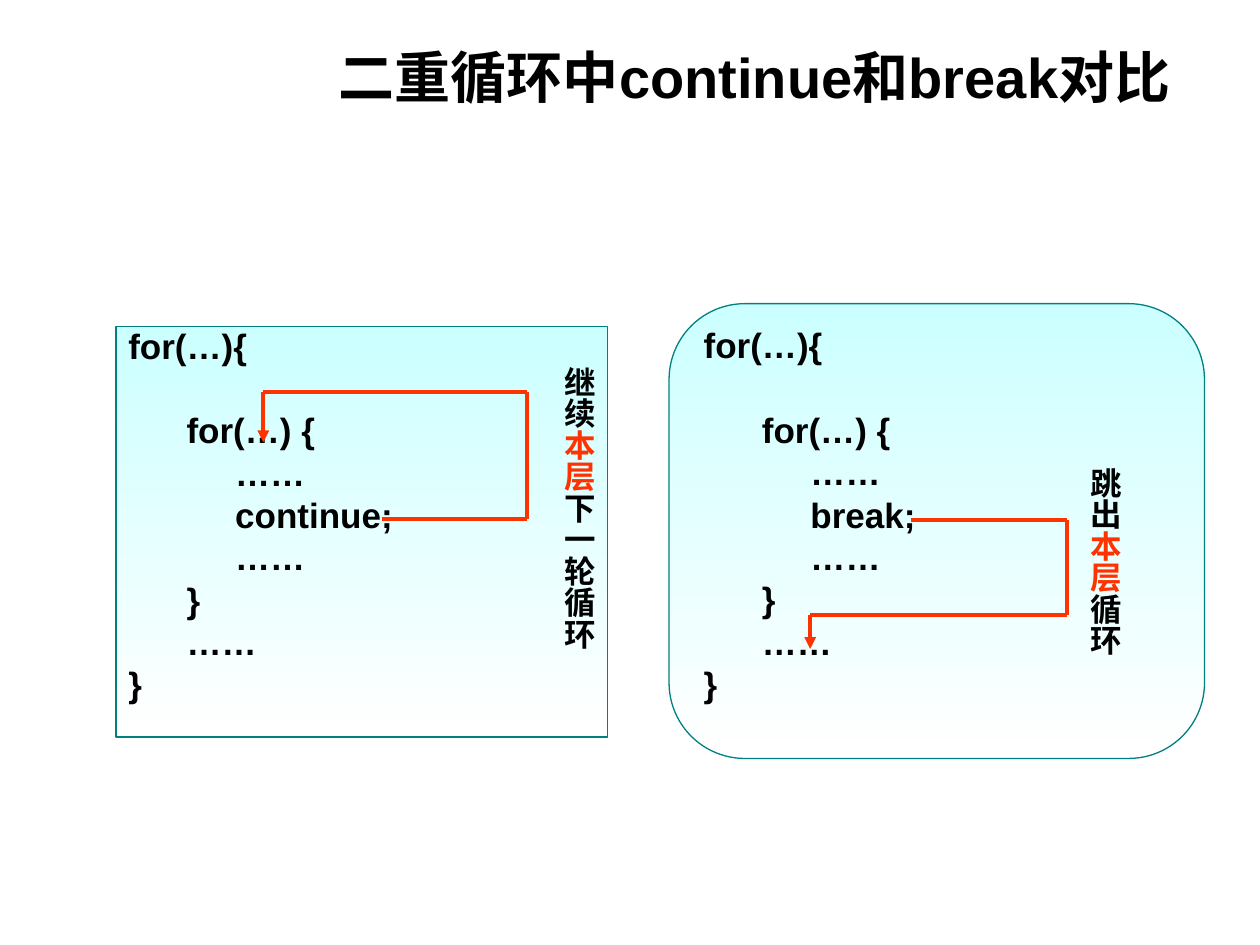
from dataclasses import dataclass
from itertools import pairwise

from lxml import etree
from pptx import Presentation
from pptx.dml.color import RGBColor
from pptx.enum import shapes, text
from pptx.oxml.ns import qn
from pptx.util import Inches, Pt


@dataclass(frozen=True)
class Theme:
    font: str = "Arial"
    ink: RGBColor = RGBColor(0, 0, 0)
    accent: RGBColor = RGBColor(0xFF, 0x33, 0x00)
    border: RGBColor = RGBColor(0x00, 0x80, 0x80)
    panel_top: RGBColor = RGBColor(0xCC, 0xFF, 0xFF)
    panel_bottom: RGBColor = RGBColor(0xFF, 0xFF, 0xFF)
    title_size: int = 32
    code_size: int = 20
    note_size: int = 18


THEME = Theme()


def apply(target, **values):
    for name, value in values.items():
        setattr(target, name, value)


def add_run(paragraph, words, size, color=THEME.ink):
    run = paragraph.add_run()
    run.text = words
    apply(run.font, name=THEME.font, size=Pt(size), bold=True)
    run.font.color.rgb = color


def set_title(slide, words):
    title = slide.shapes.title
    apply(title, left=Inches(0.5), top=Inches(0.3),
          width=Inches(9), height=Inches(0.61))
    apply(title.text_frame, margin_right=Inches(0.21), word_wrap=True,
          auto_size=text.MSO_AUTO_SIZE.NONE,
          vertical_anchor=text.MSO_ANCHOR.MIDDLE)
    paragraph = title.text_frame.paragraphs[0]
    paragraph.alignment = text.PP_ALIGN.RIGHT
    add_run(paragraph, words, THEME.title_size)


def add_code_panel(slide, kind, box, keyword):
    panel = slide.shapes.add_shape(kind, *map(Inches, box))
    panel.shadow.inherit = False
    panel.fill.gradient()
    panel.fill.gradient_angle = 270
    colors = (THEME.panel_top, THEME.panel_bottom)
    for stop, color in zip(panel.fill.gradient_stops, colors):
        stop.color.rgb = color
    panel.line.color.rgb = THEME.border
    panel.line.width = Pt(0.75)

    # Code lines; the inner loop stands one line apart from the outer one
    frame = panel.text_frame
    apply(frame, word_wrap=True, vertical_anchor=text.MSO_ANCHOR.TOP)
    lines = ["for(…){", "      for(…) {", "           ……",
             f"           {keyword};", "           ……",
             "      }", "      ……", "}"]
    for index, line in enumerate(lines):
        paragraph = frame.paragraphs[0] if index == 0 else frame.add_paragraph()
        space = {0: 0, 1: 29}.get(index, 5)
        apply(paragraph, alignment=text.PP_ALIGN.LEFT, line_spacing=0.8,
              space_before=Pt(space))
        add_run(paragraph, line, THEME.code_size)


def add_jump(slide, points):
    """Draw straight segments through the points, with an arrow at the end."""
    for start, end in pairwise(points):
        line = slide.shapes.add_connector(
            shapes.MSO_CONNECTOR.STRAIGHT, *map(Inches, start + end))
        line.line.color.rgb = THEME.accent
        line.line.width = Pt(2.25)
        properties = line._element.spPr
        if end == points[-1]:
            outline = properties.find(qn("a:ln"))
            etree.SubElement(outline, qn("a:tailEnd"), type="triangle")
        etree.SubElement(properties, qn("a:effectLst"))


def add_vertical_note(slide, box, before, stressed, after):
    note = slide.shapes.add_textbox(*map(Inches, box))
    frame = note.text_frame
    apply(frame, word_wrap=True, margin_left=Inches(0.05),
          margin_right=Inches(0.05), margin_top=Inches(0.1),
          margin_bottom=Inches(0.1))
    frame._txBody.bodyPr.set("vert", "eaVert")
    paragraph = frame.paragraphs[0]
    add_run(paragraph, before, THEME.note_size)
    add_run(paragraph, stressed, THEME.note_size, THEME.accent)
    add_run(paragraph, after, THEME.note_size)


def main():
    presentation = Presentation()
    apply(presentation, slide_width=Inches(10), slide_height=Inches(7.5))
    slide = presentation.slides.add_slide(presentation.slide_layouts[5])
    set_title(slide, "二重循环中continue和break对比")

    # Code panels
    kinds = shapes.MSO_SHAPE
    add_code_panel(slide, kinds.RECTANGLE, (0.92, 2.59, 3.9, 3.26), "continue")
    add_code_panel(slide, kinds.ROUNDED_RECTANGLE, (5.31, 2.41, 4.25, 3.61),
                   "break")

    # Jumps: continue goes back to the inner loop, break goes past it
    add_jump(slide, [(3.03, 4.12), (4.18, 4.12), (4.18, 3.11),
                     (2.09, 3.11), (2.09, 3.51)])
    add_jump(slide, [(7.23, 4.13), (8.47, 4.13), (8.47, 4.88),
                     (6.43, 4.88), (6.43, 5.15)])

    # Vertical notes
    add_vertical_note(slide, (8.47, 3.61, 0.5, 1.97), "跳出", "本层", "循环")
    add_vertical_note(slide, (4.3, 2.81, 0.5, 2.52), "继续", "本层", "下一轮循环")

    presentation.save("out.pptx")


if __name__ == "__main__":
    main()
